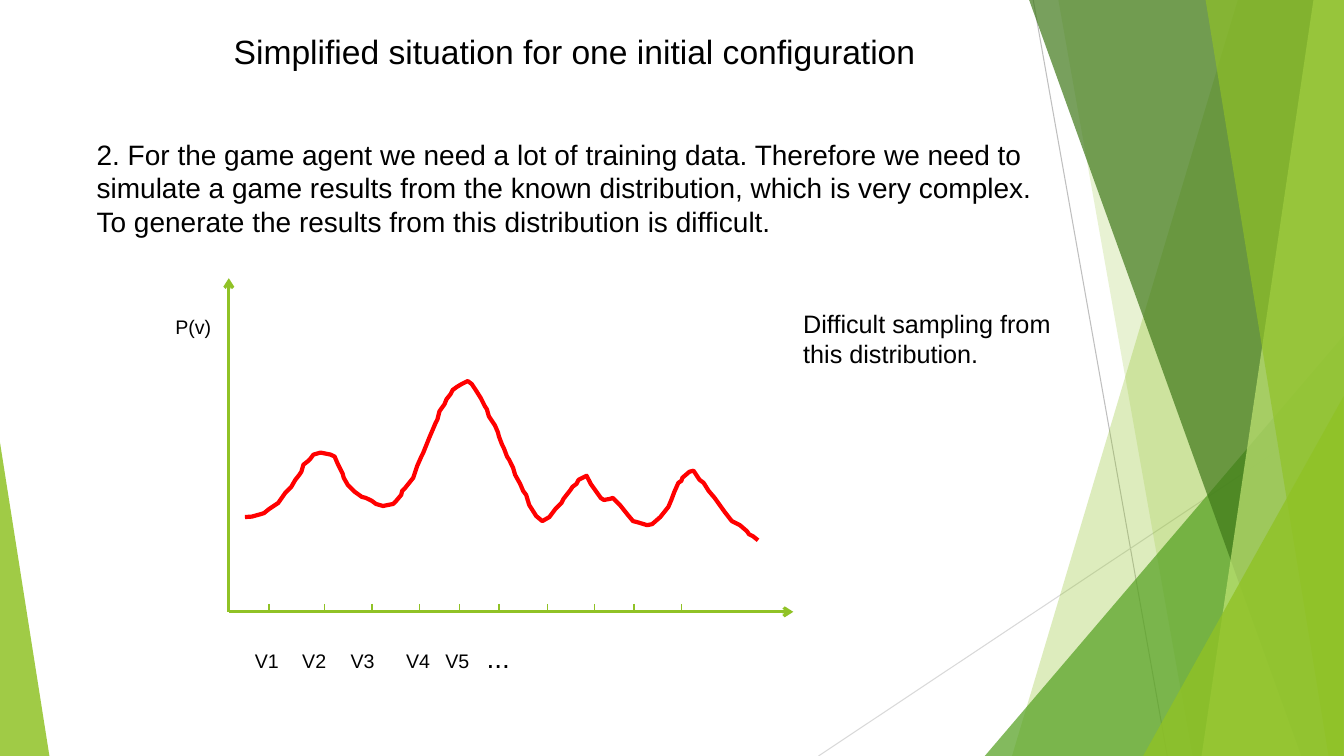
import dataclasses
import typing

import lxml.etree
import pptx
import pptx.dml.color
import pptx.enum.shapes
import pptx.enum.text
import pptx.oxml.ns
import pptx.shapes.base
import pptx.util

RGBColor = pptx.dml.color.RGBColor
LIME = RGBColor(0x90, 0xC2, 0x26)
PALE_LIME = RGBColor(0xC0, 0xE4, 0x74)
GREEN = RGBColor(0x54, 0xA0, 0x21)
DARK_GREEN = RGBColor(0x3F, 0x78, 0x19)
GREY = RGBColor(0xBF, 0xBF, 0xBF)
LIGHT_GREY = RGBColor(0xD9, 0xD9, 0xD9)
RED = RGBColor(0xFF, 0x00, 0x00)
BLACK = RGBColor(0x00, 0x00, 0x00)

# Grid: square cells of a tenth of an inch
CELL = pptx.util.Inches(0.1)
RIGHT, BOTTOM = 133.33, 75
Point = tuple[float, float]


def cells(count: float) -> int:
    return round(count * CELL)


@dataclasses.dataclass(frozen=True)
class Band:
    """Panel reaching the right edge, between a top and a bottom column."""
    top: float
    bottom: float
    color: RGBColor
    opacity: int


@dataclasses.dataclass(frozen=True)
class Wedge:
    """Triangle standing on the bottom edge."""
    left: float
    top: float
    width: float
    apex: float
    color: RGBColor
    opacity: int


@dataclasses.dataclass(frozen=True)
class Line:
    start: Point
    end: Point
    color: RGBColor
    weight: float
    arrow: bool = False


@dataclasses.dataclass(frozen=True)
class Label:
    text: str
    left: float
    top: float
    width: float
    height: float
    size: int = 14


DECORATION_LINES = [
    Line((102.5, 0), (115.8, BOTTOM), GREY, 0.75),
    Line((RIGHT, 40.3), (81.2, BOTTOM), LIGHT_GREY, 0.75),
]
FACETS = [
    Band(122.8, 100.4, LIME, 30),
    Band(105, 118.3, LIME, 20),
    Wedge(97.7, 33.3, 35.6, 1, GREEN, 72),
    Band(102.1, 129.1, DARK_GREEN, 70),
    Band(130.3, 119.2, PALE_LIME, 70),
    Band(119.6, 131.8, LIME, 65),
    Wedge(113.4, 39.3, 19.9, 1, LIME, 80),
    Wedge(0, 43.9, 4.9, 0, LIME, 85),
]

ORIGIN = (22.7, 60.7)
AXES = [
    Line(ORIGIN, (ORIGIN[0], 27.6), LIME, 2.25, arrow=True),
    Line(ORIGIN, (78.7, ORIGIN[1]), LIME, 2.25, arrow=True),
]
TICK_COLUMNS = [26.7, 32.2, 36.9, 41.6, 45.6, 49.5, 54.3, 59, 62.9, 67.6]
TICK_HEIGHT = 0.8
VALUE_COLUMNS = [24.3, 29, 33.8, 39.3, 43.2]

DISTRIBUTION = [
    (24.3, 51.3), (25, 51.25), (25.9, 51), (26.2, 50.9), (26.7, 50.5), (27.6, 49.9),
    (28.3, 48.9), (28.9, 48.3), (29.3, 47.6), (29.7, 47.1), (29.9, 46.8),
    (30.1, 46.1), (30.5, 45.8), (30.8, 45.5), (31.1, 45.1), (31.8, 44.9),
    (32.8, 45.1), (33.2, 45.3), (33.5, 46), (34, 47), (34.1, 47.4), (34.5, 48.1),
    (35.2, 48.8), (35.9, 49.3), (36.3, 49.4), (36.9, 49.7), (37.3, 50), (38, 50.2),
    (39, 50), (39.3, 49.7), (39.8, 49.1), (39.9, 48.7), (40.2, 48.4), (41, 47.4),
    (41.4, 46.2), (41.8, 45.3), (42, 44.9), (42.2, 44.4), (42.6, 43.4), (43.2, 42),
    (43.4, 41.6), (43.6, 40.8), (44.1, 40.1), (44.3, 39.6), (44.7, 39.1),
    (44.9, 38.7), (45.3, 38.4), (45.8, 38.1), (46.4, 37.8), (46.8, 38.1),
    (47.2, 38.7), (47.7, 39.5), (48.1, 40.3), (48.3, 40.6), (48.5, 41.3),
    (49.1, 42.2), (49.4, 42.9), (49.5, 43.3), (49.8, 44.1), (50, 44.5), (50.3, 45.3),
    (50.5, 45.6), (50.9, 46.4), (51.1, 47.1), (51.6, 48), (51.9, 48.7), (52.2, 49.1),
    (52.5, 50.1), (53.2, 51.2), (53.8, 51.7), (54.5, 51.3), (55.1, 50.5),
    (55.7, 49.9), (55.9, 49.5), (56.6, 48.6), (56.8, 48.3), (57.2, 48), (57.4, 47.6),
    (58.2, 47.2), (58.6, 48), (59.1, 48.7), (59.6, 49.4), (59.9, 49.6), (60.5, 49.5),
    (60.8, 49.4), (61.5, 50.1), (62.3, 51.1), (62.8, 51.7), (63.2, 51.8),
    (64.2, 52.1), (64.7, 52), (65.5, 51.3), (66.3, 50.3), (66.6, 49.6), (66.9, 48.8),
    (67.3, 47.9), (67.6, 47.7), (67.7, 47.4), (68.4, 46.8), (68.8, 46.7),
    (69.4, 47.6), (69.8, 47.9), (70.3, 48.7), (70.9, 49.4), (71.4, 50.1),
    (71.9, 50.8), (72.6, 51.7), (73.4, 52.1), (74.1, 52.7), (74.3, 53), (74.7, 53.2),
    (75.2, 53.6),
]

LABELS = [
    Label("Simplified situation for one initial configuration", 22.2, 2.6, 88.6, 5.1, 24),
    Label("2. For the game agent we need a lot of training data. Therefore we need to "
          "simulate a game results from the known distribution, which is very complex. "
          "To generate the results from this distribution is difficult.",
          8.6, 13.1, 97.5, 11.1, 20),
    Label("Difficult sampling from this distribution.", 78.7, 30.1, 28.4, 7.1, 18),
    Label("P(v)", 16.4, 30.8, 7.1, 3.4),
    *(Label(f"V{number}", column, 63.9, 5.5, 3.4)
      for number, column in enumerate(VALUE_COLUMNS, start=1)),
    Label("...", 47.3, 63.1, 6.1, 4.4, 20),
]


def add_text(slide: typing.Any, text: str, *, left: float, top: float, width: float,
             height: float, size: int, color: RGBColor = BLACK, font: str = "Arial") -> None:
    box = slide.shapes.add_textbox(cells(left), cells(top), cells(width), cells(height))
    frame = box.text_frame
    frame.word_wrap = True
    frame.auto_size = pptx.enum.text.MSO_AUTO_SIZE.SHAPE_TO_FIT_TEXT
    run = frame.paragraphs[0].add_run()
    run.text = text
    run.font.name = font
    run.font.size = pptx.util.Pt(size)
    run.font.color.rgb = color


def add_line(slide: typing.Any, line: Line) -> None:
    connector = slide.shapes.add_connector(
        pptx.enum.shapes.MSO_CONNECTOR.STRAIGHT,
        *(cells(value) for value in line.start + line.end))
    connector.line.color.rgb = line.color
    connector.line.width = pptx.util.Pt(line.weight)
    properties = connector._element.spPr
    qualified = pptx.oxml.ns.qn
    if line.arrow:
        outline = properties.find(qualified("a:ln"))
        lxml.etree.SubElement(outline, qualified("a:tailEnd"), type="arrow")
    lxml.etree.SubElement(properties, qualified("a:effectLst"))


def add_outline(slide: typing.Any, points: list[Point], close: bool) -> pptx.shapes.base.BaseShape:
    corners = [(cells(column), cells(row)) for column, row in points]
    builder = slide.shapes.build_freeform(*corners[0])
    builder.add_line_segments(corners[1:], close=close)
    shape = builder.convert_to_shape()
    shape.shadow.inherit = False
    return shape


def add_facet(slide: typing.Any, facet: Band | Wedge) -> None:
    if isinstance(facet, Band):
        shape = add_outline(slide, [(facet.top, 0), (RIGHT, 0), (RIGHT, BOTTOM),
                                    (facet.bottom, BOTTOM)], close=True)
    else:
        shape = slide.shapes.add_shape(
            pptx.enum.shapes.MSO_SHAPE.ISOSCELES_TRIANGLE, cells(facet.left),
            cells(facet.top), cells(facet.width), cells(BOTTOM - facet.top))
        shape.adjustments[0] = facet.apex
        shape.shadow.inherit = False
    shape.fill.solid()
    shape.fill.fore_color.rgb = facet.color
    shape.line.fill.background()
    color = next(shape._element.spPr.iter(pptx.oxml.ns.qn("a:srgbClr")))
    lxml.etree.SubElement(color, pptx.oxml.ns.qn("a:alpha"), val=str(facet.opacity * 1000))


def main() -> None:
    presentation = pptx.Presentation()
    presentation.slide_width = cells(RIGHT)
    presentation.slide_height = cells(BOTTOM)
    slide = presentation.slides.add_slide(presentation.slide_layouts[6])

    # Green background decoration
    for line in DECORATION_LINES:
        add_line(slide, line)
    for facet in FACETS:
        add_facet(slide, facet)

    # Distribution curve
    curve = add_outline(slide, DISTRIBUTION, close=False)
    curve.fill.background()
    curve.line.color.rgb = RED
    curve.line.width = pptx.util.Pt(3)

    # Axes and ticks
    base = ORIGIN[1]
    ticks = [Line((column, base - TICK_HEIGHT), (column, base), LIME, 1)
             for column in TICK_COLUMNS]
    for line in AXES + ticks:
        add_line(slide, line)

    # Texts
    for label in LABELS:
        add_text(slide, **dataclasses.asdict(label))

    presentation.save("out.pptx")


if __name__ == "__main__":
    main()
